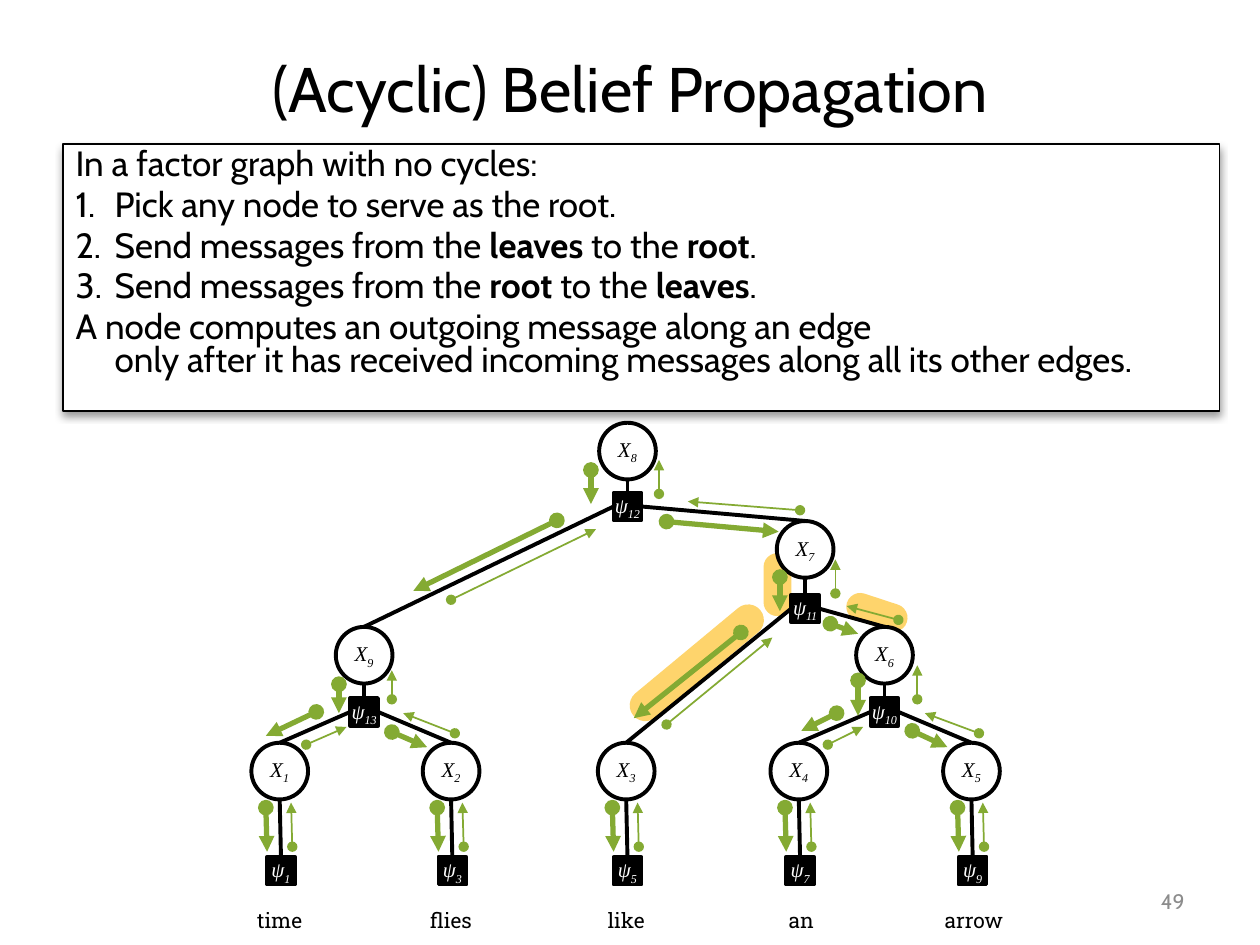
from lxml import etree
from pptx import Presentation
from pptx.dml.color import RGBColor
from pptx.enum.shapes import MSO_CONNECTOR, MSO_SHAPE
from pptx.enum.text import MSO_ANCHOR, MSO_AUTO_SIZE, PP_ALIGN
from pptx.oxml.ns import qn
from pptx.util import Cm, Pt

ELLIPSE, SQUARE, PILL = MSO_SHAPE.OVAL, MSO_SHAPE.RECTANGLE, MSO_SHAPE.ROUNDED_RECTANGLE
STRAIGHT = MSO_CONNECTOR.STRAIGHT
LEFT, CENTER, RIGHT = PP_ALIGN.LEFT, PP_ALIGN.CENTER, PP_ALIGN.RIGHT
TOP, MIDDLE = MSO_ANCHOR.TOP, MSO_ANCHOR.MIDDLE

BLACK, WHITE, GRAY, GREEN, YELLOW = "000000", "FFFFFF", "8C8C8C", "84AA33", "FED46C"
SANS, SLAB, SERIF = "Cabin", "Roboto Slab", "Times New Roman"
VARIABLE_SIZE, FACTOR_SIZE = 0.45, 0.22


def color(value):
    return RGBColor.from_string(value)


def length(inches):
    """The layout grid is in inches."""
    return Cm(inches * 2.54)


def add_xml(parent, tag, **attributes):
    return etree.SubElement(parent, qn(tag), attributes)


class SlideBuilder:
    def __init__(self, slide):
        self.slide = slide
        self.shapes = slide.shapes

    def start_group(self):
        self.shapes = self.slide.shapes.add_group_shape().shapes

    def end_group(self):
        self.shapes = self.slide.shapes

    def place(self, shape, left, top, width, height):
        shape.left, shape.top = length(left), length(top)
        shape.width, shape.height = length(width), length(height)

    def run(self, paragraph, text, size, font=SANS, fill=BLACK, bold=False, italic=False):
        run = paragraph.add_run()
        run.text = text
        run.font.size, run.font.name = Pt(size), font
        run.font.bold, run.font.italic = bold, italic
        run.font.color.rgb = color(fill)
        return run

    def title(self, text, box):
        shape = self.slide.shapes.title
        self.place(shape, *box)
        shape.text_frame.auto_size = MSO_AUTO_SIZE.NONE
        shape.text_frame.vertical_anchor = MIDDLE
        paragraph = shape.text_frame.paragraphs[0]
        paragraph.alignment = CENTER
        self.run(paragraph, text, 36)

    def body(self, items, box):
        """Each item is (numbered, lines); a line is a list of (text, bold)."""
        shape = self.slide.placeholders[1]
        self.place(shape, *box)
        shape.fill.solid()
        shape.fill.fore_color.rgb = color(WHITE)
        shape.line.color.rgb = color(BLACK)
        shape.line.width = Pt(1)
        effects = add_xml(shape._element.spPr, "a:effectLst")
        shadow = add_xml(effects, "a:outerShdw", blurRad=str(Pt(4)), dist=str(Pt(3)),
                         dir="5400000", rotWithShape="0")
        add_xml(add_xml(shadow, "a:srgbClr", val=BLACK), "a:alpha", val="40000")
        frame = shape.text_frame
        frame.auto_size, frame.vertical_anchor = MSO_AUTO_SIZE.NONE, TOP
        for index, (numbered, lines) in enumerate(items):
            paragraph = frame.add_paragraph() if index else frame.paragraphs[0]
            paragraph.alignment = LEFT
            paragraph.line_spacing = 0.8
            paragraph.space_before = Pt(4 if index else 0)
            properties = paragraph._p.get_or_add_pPr()
            properties.set("marL", str(length(0.31)))
            properties.set("indent", str(-length(0.31)))
            if numbered:
                add_xml(properties, "a:buFont", typeface="+mj-lt")
                add_xml(properties, "a:buAutoNum", type="arabicPeriod")
            else:
                add_xml(properties, "a:buNone")
            for number, line in enumerate(lines):
                if number:
                    paragraph.add_line_break()
                for text, bold in line:
                    self.run(paragraph, text, 20, bold=bold)

    def label(self, text, box, font=SLAB, fill=BLACK, align=CENTER):
        shape = self.shapes.add_textbox(*map(length, box))
        frame = shape.text_frame
        frame.word_wrap, frame.vertical_anchor = True, MIDDLE
        frame.paragraphs[0].alignment = align
        self.run(frame.paragraphs[0], text, 12, font, fill)

    def shape(self, kind, center, width, height, fill):
        x, y = center
        box = (x - width / 2, y - height / 2, width, height)
        shape = self.shapes.add_shape(kind, *map(length, box))
        shape.shadow.inherit = False
        shape.fill.solid()
        shape.fill.fore_color.rgb = color(fill)
        return shape

    def highlight(self, center, width, height, rotation):
        shape = self.shape(PILL, center, width, height, YELLOW)
        shape.adjustments[0] = 0.5
        shape.rotation = rotation
        shape.line.fill.background()

    def node(self, kind, center, size, fill, ink, letter, number, anchor):
        shape = self.shape(kind, center, size, size, fill)
        shape.line.color.rgb = color(BLACK)
        shape.line.width = Pt(2.25)
        frame = shape.text_frame
        frame.margin_left = frame.margin_right = frame.margin_top = frame.margin_bottom = 0
        frame.word_wrap, frame.vertical_anchor = False, anchor
        paragraph = frame.paragraphs[0]
        paragraph.alignment = CENTER
        self.run(paragraph, letter, 12, SERIF, ink, italic=True)
        subscript = self.run(paragraph, str(number), 12, SERIF, ink, italic=True)
        subscript.font._element.set("baseline", "-25000")

    def variable(self, number, center):
        self.node(ELLIPSE, center, VARIABLE_SIZE, WHITE, BLACK, "X", number, MIDDLE)

    def factor(self, number, center):
        self.node(SQUARE, center, FACTOR_SIZE, BLACK, WHITE, "ψ", number, TOP)

    def line(self, start, end, stroke=BLACK, width=2.25):
        connector = self.shapes.add_connector(STRAIGHT, *map(length, (*start, *end)))
        connector.line.color.rgb = color(stroke)
        connector.line.width = Pt(width)
        add_xml(connector._element.spPr, "a:effectLst")
        return connector

    def message(self, start, end, width):
        connector = self.line(start, end, GREEN, width)
        stroke = connector._element.spPr.find(qn("a:ln"))
        add_xml(stroke, "a:headEnd", type="oval")
        add_xml(stroke, "a:tailEnd", type="triangle")


# Leaves: variable, factor, x, word, word centre
LEAVES = [(1, 1, 2.22, "time", 2.22), (2, 3, 3.58, "flies", 3.58), (3, 5, 4.97, "like", 4.97),
          (4, 7, 6.34, "an", 6.36), (5, 9, 7.71, "arrow", 7.73)]
LEAF_Y = 6.12
VARIABLES = {6: (7.02, 5.2), 7: (6.39, 4.36), 8: (4.98, 3.58), 9: (2.89, 5.2)}
# Inner factors: number, y, parent variable, left and right child variables
FACTORS = [(10, 5.65, 6, 4, 5), (12, 4.02, 8, 9, 7), (11, 4.83, 7, 3, 6), (13, 5.65, 9, 1, 2)]

# Messages between inner nodes: sender end, receiver end
TO_LEAVES = [
    ((2.51, 5.65), (2.11, 5.84)), ((3.11, 5.81), (3.39, 5.93)), ((2.69, 5.43), (2.69, 5.66)),
    ((5.88, 5.02), (5.03, 5.7)), ((6.64, 5.66), (6.36, 5.8)), ((7.24, 5.8), (7.52, 5.93)),
    ((6.81, 5.4), (6.81, 5.68)), ((4.42, 4.13), (3.28, 4.69)), ((6.59, 4.95), (6.81, 5.03)),
    ((6.19, 4.58), (6.19, 4.85)), ((5.29, 4.14), (6.18, 4.22)), ((4.69, 3.73), (4.69, 4))]
TO_ROOT = [
    ((2.43, 5.91), (2.75, 5.77)), ((3.61, 5.82), (3.2, 5.66)), ((3.11, 5.55), (3.11, 5.32)),
    ((5.29, 5.75), (6.13, 5.06)), ((6.57, 5.91), (6.85, 5.77)), ((7.77, 5.82), (7.34, 5.66)),
    ((7.28, 5.55), (7.28, 5.28)), ((3.58, 4.76), (4.73, 4.2)), ((7.13, 4.92), (6.72, 4.81)),
    ((6.63, 4.71), (6.63, 4.44)), ((6.35, 4.05), (5.46, 3.98)), ((5.23, 3.92), (5.23, 3.65))]

STEPS = [
    (False, [[("In a factor graph with no cycles:", False)]]),
    (True, [[("Pick any node to serve as the root.", False)]])]
STEPS += [
    (True, [[("Send messages from the ", False), (source, True), (" to the ", False),
             (target, True), (".", False)]])
    for source, target in (("leaves", "root"), ("root", "leaves"))]
STEPS.append((False, [
    [("A node computes an outgoing message along an edge ", False)],
    [("only after it has received incoming messages along all its other edges.", False)]]))


def main():
    presentation = Presentation()
    presentation.slide_width, presentation.slide_height = length(10), length(7.5)
    builder = SlideBuilder(presentation.slides.add_slide(presentation.slide_layouts[1]))

    # Title, steps and page number
    builder.title("(Acyclic) Belief Propagation", (0.5, 0.3, 9, 0.79))
    builder.body(STEPS, (0.5, 1.14, 9.18, 2.12))
    builder.label("49", (7.17, 6.95, 2.33, 0.4), SANS, GRAY, RIGHT)

    # Highlighted messages
    builder.highlight((5.53, 5.26), 0.25, 1.31, 230.3)
    builder.highlight((6.17, 4.64), 0.22, 0.5, 0)
    builder.highlight((6.96, 4.86), 0.22, 0.5, 288.2)

    # Factor graph
    builder.start_group()
    centers = dict(VARIABLES)
    half_variable, half_factor = VARIABLE_SIZE / 2, FACTOR_SIZE / 2
    for variable, factor, x, word, word_x in LEAVES:
        centers[variable] = (x, LEAF_Y)
        builder.factor(factor, (x + 0.01, 6.91))
        builder.line((x, LEAF_Y + half_variable), (x + 0.01, 6.8))
        builder.label(word, (word_x - 0.6, 7.15, 1.2, 0.3))
    for number, center in centers.items():
        builder.variable(number, center)
    for number, y, parent, *children in FACTORS:
        x, parent_y = centers[parent]
        builder.factor(number, (x, y))
        builder.line((x, y - half_factor), (x, parent_y + half_variable))
        for child, side in zip(children, (-half_factor, half_factor)):
            child_x, child_y = centers[child]
            builder.line((x + side, y), (child_x, child_y - half_variable))
    builder.end_group()

    # Messages from root to leaves, then from leaves to root
    leaf_xs = [leaf[2] for leaf in LEAVES]
    down = [((x - 0.11, 6.41), (x - 0.1, 6.76)) for x in leaf_xs]
    up = [((x + 0.1, 6.72), (x + 0.09, 6.37)) for x in leaf_xs]
    for messages, width in ((down + TO_LEAVES, 3), (up + TO_ROOT, 1)):
        builder.start_group()
        for start, end in messages:
            builder.message(start, end, width)
    presentation.save("out.pptx")


if __name__ == "__main__":
    main()
